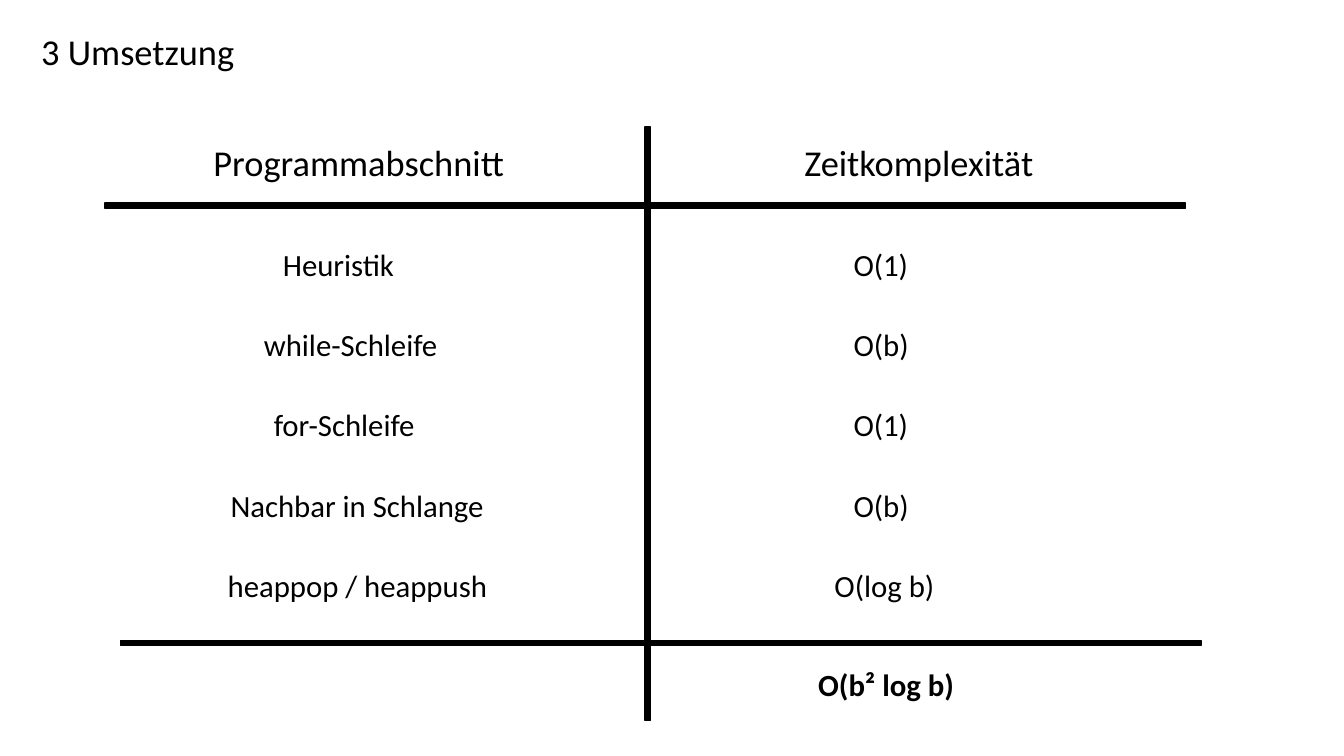
"""Build the slide comparing program sections with their time complexity."""
from pptx import Presentation
from pptx.dml.color import RGBColor
from pptx.enum.shapes import MSO_SHAPE
from pptx.enum.text import MSO_AUTO_SIZE
from pptx.util import Cm, Pt

TITLE = ("3 Umsetzung", 0.79, 16.94)
HEADINGS = [("Programmabschnitt", 5.13, 10.21), ("Zeitkomplexität", 20.02, 11.61)]
ROWS = [
    [("Heuristik", 6.88, 10.21), ("O(1)", 21.26, 3.33)],
    [("while-Schleife", 6.4, 11.07), ("O(b)", 21.26, 3.33)],
    [("for-Schleife", 6.65, 11.07), ("O(1)", 21.26, 3.33)],
    [("Nachbar in Schlange", 5.56, 11.07), ("O(b)", 21.26, 3.33)],
    [("heappop / heappush", 5.49, 7.16), ("O(log b)", 20.78, 12.62)],
]
TOTAL = ("O(b² log b)", 20.37, 12.62)

THEME = {
    "ink": RGBColor(0, 0, 0),
    "heading": {"name": "Calibri", "size": Pt(26), "bold": False},
    "body": {"name": "Calibri", "size": Pt(22), "bold": False},
    "total": {"name": "Calibri", "size": Pt(22), "bold": True},
}
HEIGHTS = {"heading": 1.37, "body": 1.19, "total": 1.19}
TITLE_TOP, HEADING_TOP, ROW_TOP, ROW_STEP, TOTAL_TOP = 0.61, 3.4, 6.07, 2.02, 16.64
BAR, RULE_LENGTH = 0.13, 27.23
BARS = [
    (16.26, 3.2, BAR, 14.96),
    (2.65, 5.12, RULE_LENGTH, BAR),
    (3.04, 16.14, RULE_LENGTH, BAR),
]


def add_label(page, label, top, style):
    text, left, width = label
    box = page.shapes.add_textbox(Cm(left), Cm(top), Cm(width), Cm(HEIGHTS[style]))
    frame = box.text_frame
    frame.word_wrap = True
    frame.auto_size = MSO_AUTO_SIZE.SHAPE_TO_FIT_TEXT
    span = frame.paragraphs[0].add_run()
    span.text = text
    for name, value in THEME[style].items():
        setattr(span.font, name, value)
    span.font.color.rgb = THEME["ink"]


def add_bar(page, bounds):
    bar = page.shapes.add_shape(MSO_SHAPE.RECTANGLE, *map(Cm, bounds))
    bar.shadow.inherit = False
    bar.fill.solid()
    bar.fill.fore_color.rgb = THEME["ink"]
    bar.line.color.rgb = THEME["ink"]
    bar.line.width = Pt(1)


def main():
    deck = Presentation()
    deck.slide_width, deck.slide_height = Cm(33.87), Cm(19.05)
    page = deck.slides.add_slide(deck.slide_layouts[6])
    add_label(page, TITLE, TITLE_TOP, "heading")
    for bounds in BARS:
        add_bar(page, bounds)
    for heading in HEADINGS:
        add_label(page, heading, HEADING_TOP, "heading")
    for index, row in enumerate(ROWS):
        for label in row:
            add_label(page, label, ROW_TOP + index * ROW_STEP, "body")
    add_label(page, TOTAL, TOTAL_TOP, "total")
    deck.save("out.pptx")


if __name__ == "__main__":
    main()
